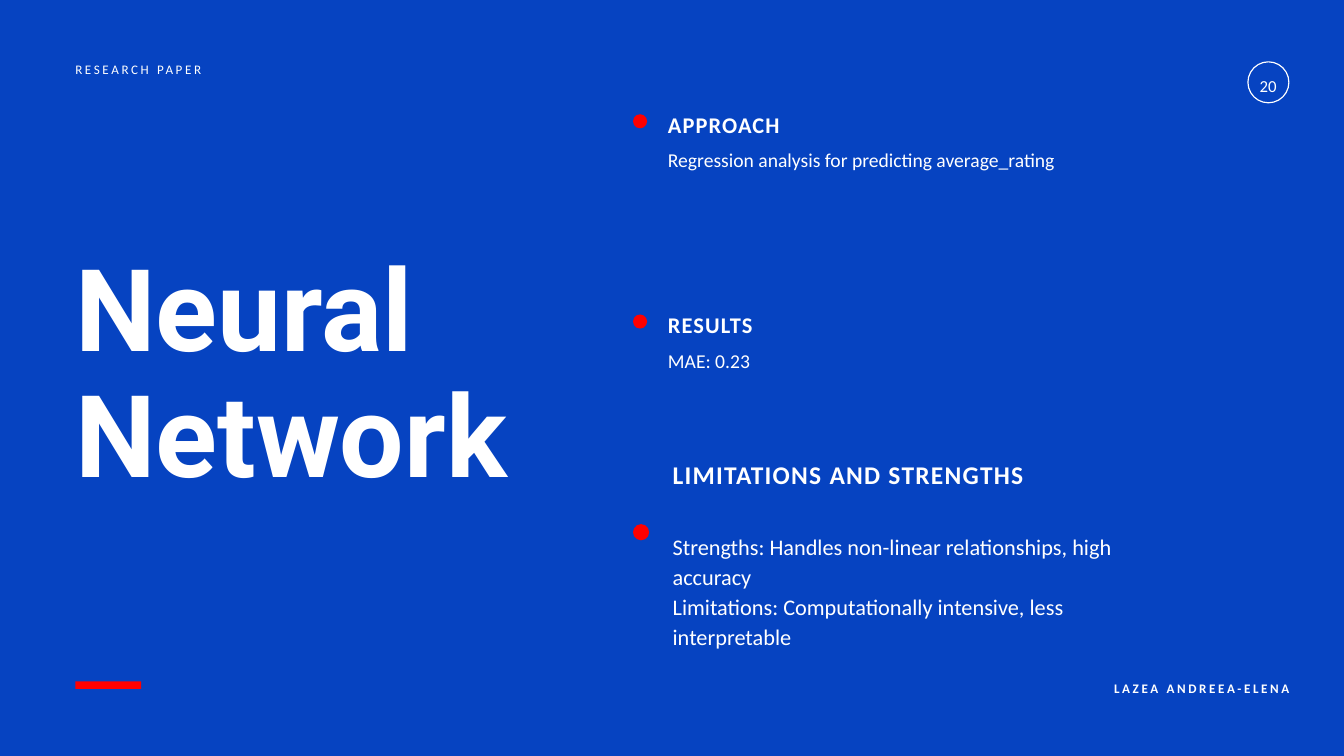
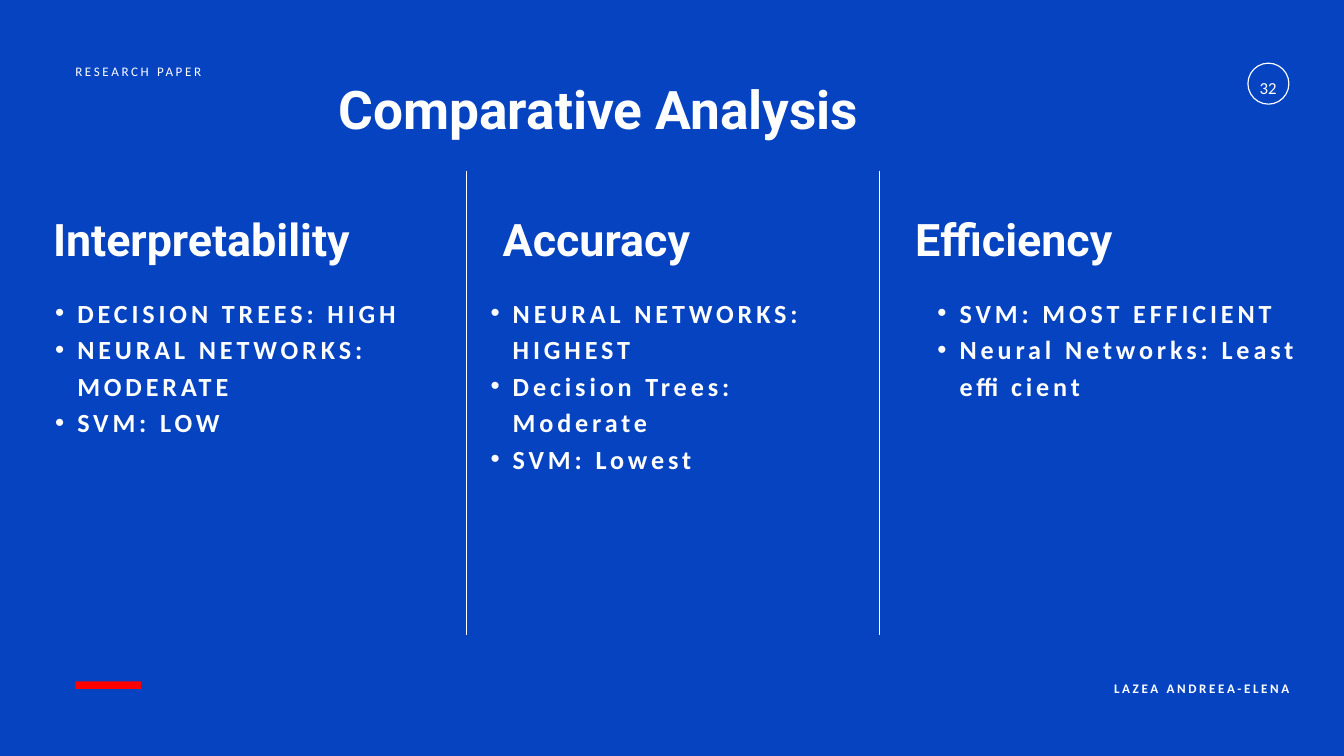
from pptx import Presentation
from pptx.dml.color import RGBColor
from pptx.enum.shapes import MSO_CONNECTOR, MSO_SHAPE
from pptx.enum.text import PP_ALIGN
from pptx.oxml.ns import qn
from pptx.util import Inches, Pt
from lxml import etree

BLUE, RED, WHITE = "0643C1", "FF0000", "FFFFFF"
HEAD_FONT, BODY_FONT = "Roboto", "Calibri"
HEADER, AUTHOR = "RESEARCH PAPER", "LAZEA ANDREEA-ELENA"

# Heading, body lines, heading position, body position, dot position and size,
# then size and line spacing of heading and body
TOPICS = [
    ("APPROACH", ["Regression analysis for predicting average_rating"],
     (9.94, 1.59, 4.7, 0.43), (9.94, 2.16, 6.57, 0.76), (9.42, 1.7, 0.21),
     (24, 33.6, 1.2), (21, 28.4)),
    ("RESULTS", ["MAE: 0.23"],
     (9.94, 4.57, 4.7, 0.43), (9.94, 5.15, 6.57, 0.76), (9.42, 4.68, 0.21),
     (24, 33.6, 1.2), (21, 28.4)),
    ("LIMITATIONS AND STRENGTHS",
     ["Strengths: Handles non-linear relationships, high accuracy",
      "Limitations: Computationally intensive, less interpretable"],
     (10.01, 6.76, 5.34, 1.03), (10.01, 7.88, 7.46, 2.18), (9.42, 7.8, 0.24),
     (27.3, 38.2, 1.4), (23.9, 32.2)),
]

# Heading, heading left, list left, list items
COLUMNS = [
    ("Interpretability", 0.79, 0.49,
     ["DECISION TREES: HIGH", "NEURAL NETWORKS: MODERATE", "SVM: LOW"]),
    ("Accuracy", 7.48, 6.97,
     ["NEURAL NETWORKS: HIGHEST", "Decision Trees: Moderate", "SVM: Lowest"]),
    ("Efficiency", 13.62, 13.62,
     ["SVM: MOST EFFICIENT", "Neural Networks: Least efficient"]),
]
COLUMN_WIDTH = 5.76
DIVIDERS, DIVIDER_TOP, DIVIDER_BOTTOM = (6.94, 13.08), 2.54, 9.45


def color(value):
    return RGBColor.from_string(value)


def add_text(page, place, lines, size, leading, spacing=0, font=BODY_FONT,
             bold=False, align=PP_ALIGN.LEFT, bullets=False):
    """Place one paragraph per line; leading and letter spacing are in points."""
    box = page.shapes.add_textbox(*map(Inches, place))
    frame = box.text_frame
    frame.word_wrap = True
    frame.margin_left = frame.margin_right = 0
    frame.margin_top = frame.margin_bottom = 0
    for index, line in enumerate(lines):
        para = frame.paragraphs[0] if index == 0 else frame.add_paragraph()
        para.alignment = align
        para.line_spacing = Pt(leading)
        if bullets:
            add_bullet(para)
        span = para.add_run()
        span.text = line
        span.font.name = font
        span.font.size = Pt(size)
        span.font.bold = bold
        span.font.color.rgb = color(WHITE)
        if spacing:
            span.font._element.set("spc", str(round(spacing * 100)))


def add_bullet(para):
    para.level = 1
    properties = para._p.get_or_add_pPr()
    properties.set("marL", str(Inches(0.66)))
    properties.set("indent", str(-Inches(0.33)))
    etree.SubElement(properties, qn("a:buFont")).set("typeface", "Arial")
    etree.SubElement(properties, qn("a:buChar")).set("char", "•")


def add_solid(page, kind, place, fill):
    shape = page.shapes.add_shape(kind, *map(Inches, place))
    shape.shadow.inherit = False
    shape.fill.solid()
    shape.fill.fore_color.rgb = color(fill)
    shape.line.fill.background()


def add_page_number(page, number, top):
    ring = page.shapes.add_shape(
        MSO_SHAPE.OVAL, *map(Inches, (18.57, top + 0.01, 0.61, 0.61)))
    ring.shadow.inherit = False
    ring.fill.background()
    ring.line.color.rgb = color(WHITE)
    ring.line.width = Pt(1.25)
    add_text(page, (18.65, top + 0.17, 0.44, 0.32), [number], 18, 25.3,
             align=PP_ALIGN.CENTER)


def add_divider(page, x):
    line = page.shapes.add_connector(
        MSO_CONNECTOR.STRAIGHT,
        *map(Inches, (x, DIVIDER_TOP, x, DIVIDER_BOTTOM)))
    line.line.color.rgb = color(WHITE)
    line.line.width = Pt(0.75)
    etree.SubElement(line._element.spPr, qn("a:effectLst"))


def add_page(deck, number, ring_top):
    """Add a blue slide with its header, page number, red bar and author."""
    page = deck.slides.add_slide(deck.slide_layouts[6])
    page.background.fill.solid()
    page.background.fill.fore_color.rgb = color(BLUE)
    add_solid(page, MSO_SHAPE.RECTANGLE, (1.12, 10.14, 0.98, 0.11), RED)
    add_page_number(page, number, ring_top)
    add_text(page, (1.12, ring_top - 0.03, 3.12, 0.26), [HEADER], 14, 19.6, 2.8)
    add_text(page, (15.75, 10.08, 3.44, 0.26), [AUTHOR], 14, 19.6, 2.8,
             bold=True, align=PP_ALIGN.RIGHT)
    return page


def add_network_page(deck):
    page = add_page(deck, "20", 0.91)
    add_text(page, (1.12, 3.7, 11.53, 3.89), ["Neural", "Network"],
             122.4, 134.6, font=HEAD_FONT, bold=True)
    for heading, lines, head_at, body_at, dot, head_style, body_style in TOPICS:
        left, top, size = dot
        add_solid(page, MSO_SHAPE.OVAL, (left, top, size, size), RED)
        add_text(page, head_at, [heading], *head_style, bold=True)
        add_text(page, body_at, lines, *body_style)


def add_comparison_page(deck):
    page = add_page(deck, "32", 0.93)
    add_text(page, (5.04, 1.21, 9.62, 0.93), ["Comparative Analysis"],
             57, 62.7, font=HEAD_FONT, bold=True)
    for x in DIVIDERS:
        add_divider(page, x)
    for heading, head_left, list_left, items in COLUMNS:
        add_text(page, (head_left, 3.22, COLUMN_WIDTH, 0.79), [heading],
                 48, 52.8, font=HEAD_FONT, bold=True)
        add_text(page, (list_left, 4.34, COLUMN_WIDTH, 3.25), items,
                 28, 39.2, 4.2, bold=True, bullets=True)


def main():
    deck = Presentation()
    deck.slide_width, deck.slide_height = Inches(20), Inches(11.25)
    add_network_page(deck)
    add_comparison_page(deck)
    deck.save("out.pptx")


if __name__ == "__main__":
    main()
